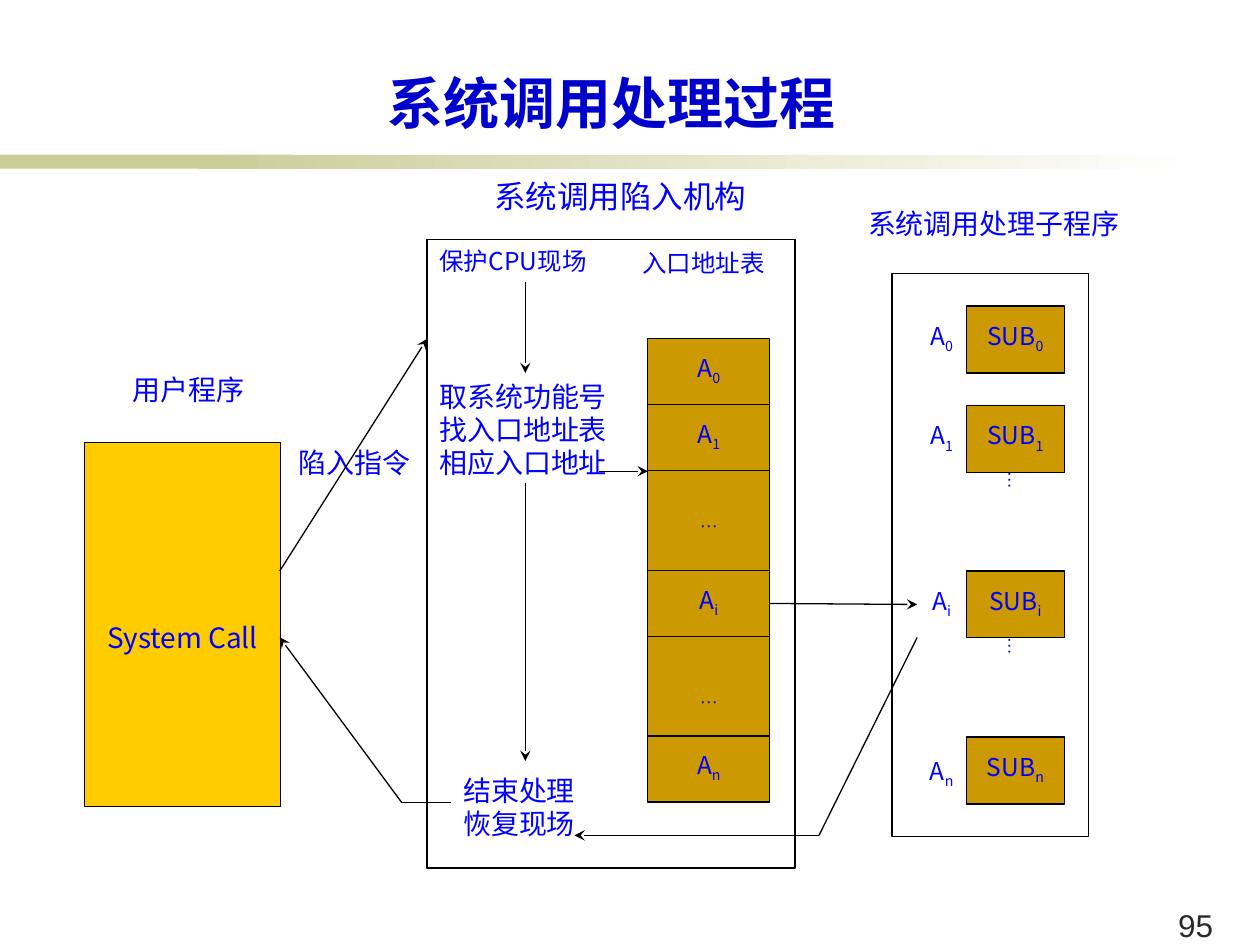
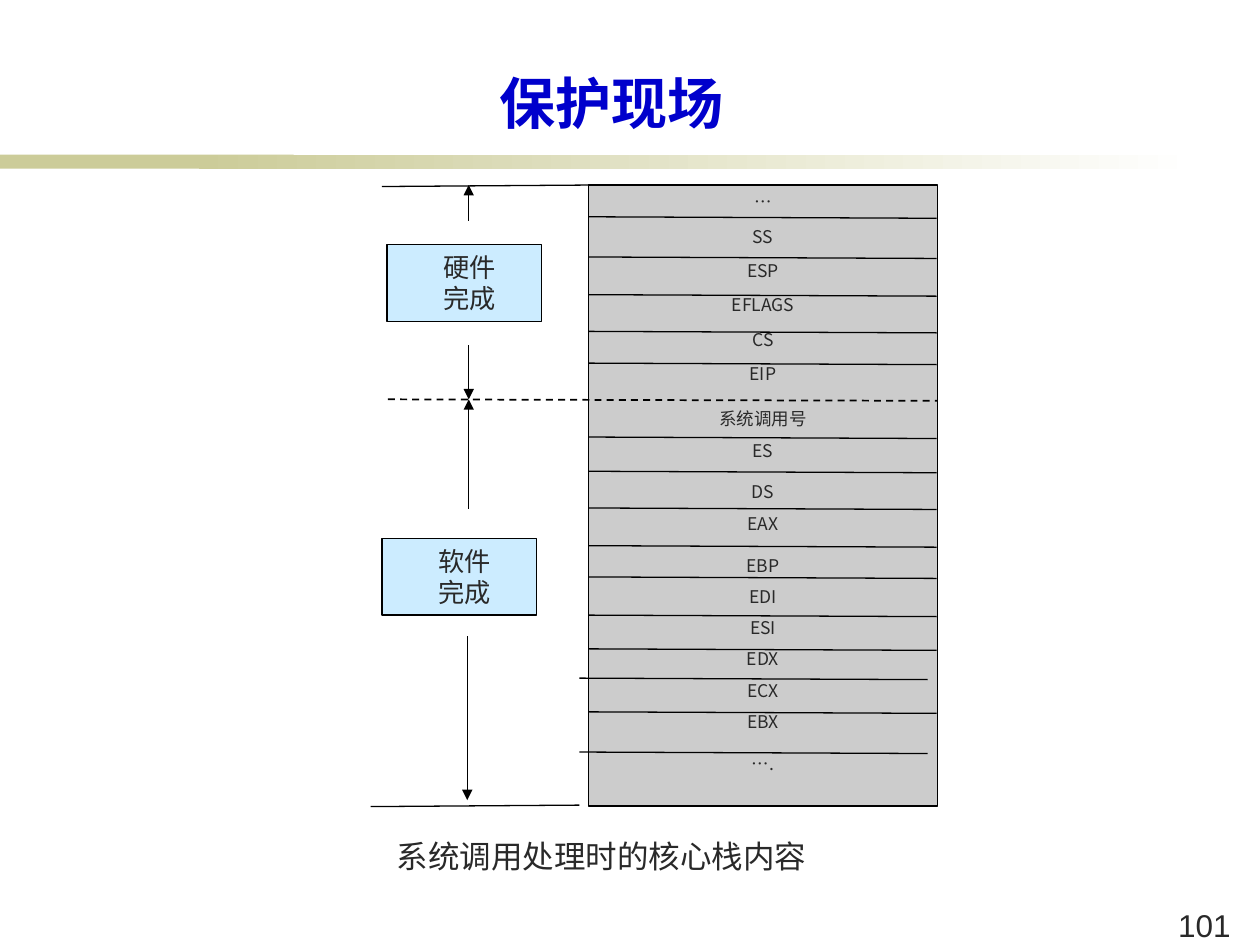
from dataclasses import dataclass, replace
from typing import NamedTuple

from lxml import etree
from pptx import Presentation
from pptx.dml.color import RGBColor
from pptx.enum.dml import MSO_LINE
from pptx.enum.shapes import MSO_CONNECTOR, MSO_SHAPE
from pptx.enum.text import MSO_ANCHOR, PP_ALIGN
from pptx.oxml.ns import qn
from pptx.util import Cm, Pt

STRAIGHT = MSO_CONNECTOR.STRAIGHT
RECT = MSO_SHAPE.RECTANGLE
DASH = MSO_LINE.DASH
LEFT, CENTER = PP_ALIGN.LEFT, PP_ALIGN.CENTER
TOP, MIDDLE = MSO_ANCHOR.TOP, MSO_ANCHOR.MIDDLE
SITE_TOP, SITE_LEFT, SITE_RIGHT = 0, 1, 3

SANS, SERIF, ARIAL = "Noto Sans CJK JP", "Times New Roman", "Arial"
BLACK, WHITE, INK = "000000", "FFFFFF", "292929"
BLUE, TITLE_BLUE = "0000FF", "0000CC"
KHAKI, YELLOW, OCHRE = "CCCC99", "FFCC00", "CC9900"
GREY, SKY = "CCCCCC", "CCECFF"


class Box(NamedTuple):
    x: float
    y: float
    w: float
    h: float


class Inset(NamedTuple):
    left: float = 0.25
    top: float = 0.13
    right: float = 0.25
    bottom: float = 0.13


class Line(NamedTuple):
    x1: float
    y1: float
    x2: float
    y2: float
    head: str = ""


class Label(NamedTuple):
    text: str
    box: Box


class Row(NamedTuple):
    text: str
    before: float = 0
    after: float = 6


@dataclass(frozen=True)
class Style:
    size: float
    color: str = BLUE
    font: str = SANS
    align: PP_ALIGN = LEFT
    anchor: MSO_ANCHOR = TOP
    bold: bool = False
    inset: Inset = Inset()
    leading: float = 1.19


NO_INSET = Inset(0, 0, 0, 0)
TITLE = Style(32, TITLE_BLUE, align=CENTER, anchor=MIDDLE, bold=True, leading=1.45)
PAGE_NUMBER = Style(18, INK, ARIAL)
HEADING = Style(16, inset=NO_INSET)
STEP = Style(16)
NOTE = Style(14)
CELL = Style(14, align=CENTER, anchor=MIDDLE, inset=NO_INSET)
DOTS = replace(CELL, size=10, font=SERIF)
LOW_DOTS = replace(DOTS, inset=Inset(0, 0.43, 0, 0))
USER_BOX = Style(16, align=CENTER, anchor=MIDDLE, inset=Inset(top=0.64))
STACK_TEXT = Style(10, INK, align=CENTER)
WORKER = Style(15, INK, anchor=MIDDLE, inset=Inset(left=1.14))
CAPTION = Style(18, INK, inset=Inset(left=1.04))


def rgb(color: str) -> RGBColor:
    return RGBColor.from_string(color)


def add_run(p, text: str, style: Style, subscript: bool = False) -> None:
    r = p.add_run()
    r.text = text
    formats = {"size": Pt(style.size), "name": style.font, "bold": style.bold}
    for name, value in formats.items():
        setattr(r.font, name, value)
    r.font.color.rgb = rgb(style.color)
    r_pr = r.font._element
    etree.SubElement(r_pr, qn("a:ea")).set("typeface", SANS)
    if subscript:
        r_pr.set("baseline", "-25000")


def write(shape, rows: list[Row], style: Style) -> None:
    """Fill a shape with one paragraph per row; "A_0" sets 0 as a subscript."""
    tf = shape.text_frame
    margins = {f"margin_{side}": Cm(v) for side, v in style.inset._asdict().items()}
    frame = {"word_wrap": True, "vertical_anchor": style.anchor, **margins}
    for name, value in frame.items():
        setattr(tf, name, value)
    for i, row in enumerate(rows):
        p = tf.add_paragraph() if i else tf.paragraphs[0]
        formats = {
            "alignment": style.align,
            "space_before": Pt(row.before),
            "space_after": Pt(row.after),
            "line_spacing": Pt(style.size * style.leading),
        }
        for name, value in formats.items():
            setattr(p, name, value)
        base, _, index = row.text.partition("_")
        add_run(p, base, style)
        if index:
            add_run(p, index, style, subscript=True)


def plain_rows(text: str) -> list[Row]:
    return [Row(line, after=0) for line in text.split("\n")]


def add_text(s, label: Label, style: Style):
    sp = s.shapes.add_textbox(*map(Cm, label.box))
    write(sp, plain_rows(label.text), style)
    return sp


def add_rect(s, box: Box, fill: str = "", line: str = BLACK):
    sp = s.shapes.add_shape(RECT, *map(Cm, box))
    sp.shadow.inherit = False
    if fill:
        sp.fill.solid()
        sp.fill.fore_color.rgb = rgb(fill)
    else:
        sp.fill.background()
    if line:
        sp.line.color.rgb = rgb(line)
        sp.line.width = Pt(0.75)
    else:
        sp.line.fill.background()
    return sp


def add_cell(s, label: Label, fill: str, style: Style):
    sp = add_rect(s, label.box, fill)
    write(sp, plain_rows(label.text), style)
    return sp


def add_line(s, line: Line, width: float = 0.75):
    cx = s.shapes.add_connector(STRAIGHT, *map(Cm, line[:4]))
    cx.line.color.rgb = rgb(BLACK)
    cx.line.width = Pt(width)
    if line.head:
        etree.SubElement(cx.line._get_or_add_ln(), qn("a:tailEnd")).set("type", line.head)
    etree.SubElement(cx._element.spPr, qn("a:effectLst"))
    return cx


def add_base_slide(prs, title: str, number: int, title_font: str = SANS):
    """Add a blank slide with the shared band, title and page number."""
    s = prs.slides.add_slide(prs.slide_layouts[6])
    add_rect(s, Box(0, 3.12, 5.92, 0.28), KHAKI, line="")
    fade = add_rect(s, Box(4.01, 3.12, 20.12, 0.28), KHAKI, line="")
    fade.fill.gradient()
    fade.fill.gradient_angle = 0
    for stop, color in zip(fade.fill.gradient_stops, (KHAKI, WHITE)):
        stop.color.rgb = rgb(color)
    add_text(s, Label(title, Box(2.11, 1.12, 20.45, 1.6)), replace(TITLE, font=title_font))
    add_text(s, Label(str(number), Box(23.5, 18.14, 1.6, 0.84)), PAGE_NUMBER)
    return s


def add_address_table(s):
    """Stack the entry table downwards and return its A_i cell."""
    rows = [("A_0", 1.33, CELL), ("A_1", 1.33, CELL), ("…", 2.01, DOTS),
            ("A_i", 1.33, CELL), ("…", 2.01, LOW_DOTS), ("A_n", 1.33, CELL)]
    y, cells = 6.83, {}
    for text, height, style in rows:
        cells[text] = add_cell(s, Label(text, Box(13.06, y, 2.46, height)), OCHRE, style)
        y += height
    return cells["A_i"]


def add_subroutines(s):
    """Draw the handler routines and return the A_i label."""
    x, label_w, h = 18.49, 0.99, 1.35
    labels = {}
    for index, y, drop in [("0", 6.17, 0), ("1", 8.18, 0), ("i", 11.51, 0), ("n", 14.86, 0.08)]:
        labels[index] = add_text(s, Label(f"A_{index}", Box(x, y + drop, label_w, h)), CELL)
        add_cell(s, Label(f"SUB_{index}", Box(x + label_w, y, 1.98, h)), OCHRE, CELL)
    for y in (9.5, 12.85):
        dots = add_text(s, Label("…", Box(x + label_w, y, 1.98, 2.01)), DOTS)
        dots.text_frame._txBody.bodyPr.set("vert", "eaVert")
    add_rect(s, Box(17.98, 5.51, 3.96, 11.35))
    return labels["i"]


def build_call_process(prs) -> None:
    s = add_base_slide(prs, "系统调用处理过程", 95, SERIF)
    add_cell(s, Label("System Call", Box(1.7, 8.92, 3.96, 7.34)), YELLOW, USER_BOX)
    sub_label = add_subroutines(s)
    entry_cell = add_address_table(s)
    add_rect(s, Box(8.61, 4.83, 7.42, 12.67))

    for label in [
        Label("用户程序", Box(2.67, 7.52, 2.46, 1.32)),
        Label("陷入指令", Box(6.02, 8.99, 2.46, 1.32)),
        Label("系统调用处理子程序", Box(17.5, 4.17, 5.36, 1.35)),
    ]:
        add_text(s, label, HEADING)
    add_text(s, Label("系统调用陷入机构", Box(9.96, 3.58, 5.28, 0.76)), replace(HEADING, size=18))
    add_text(s, Label("保护CPU现场", Box(8.61, 4.83, 3.96, 1.07)), NOTE)
    add_text(s, Label("入口地址表", Box(12.7, 4.88, 3.18, 1.24)), NOTE)
    lookup = Label("取系统功能号\n找入口地址表\n相应入口地址", Box(8.61, 7.52, 3.96, 3.02))
    lookup_box = add_text(s, lookup, STEP)
    add_text(s, Label("结束处理\n恢复现场", Box(9.09, 15.47, 2.97, 2.26)), STEP)

    to_lookup = add_line(s, Line(10.59, 5.69, 10.59, 7.52, "stealth"))
    to_lookup.end_connect(lookup_box, SITE_TOP)
    to_sub = add_line(s, Line(15.52, 12.17, 18.49, 12.17, "stealth"))
    to_sub.begin_connect(entry_cell, SITE_RIGHT)
    to_sub.end_connect(sub_label, SITE_LEFT)
    for line in [
        Line(10.59, 9.73, 10.59, 15.34, "stealth"),
        Line(12.07, 9.5, 13.06, 9.5, "stealth"),
        Line(5.64, 11.51, 8.61, 6.83, "stealth"),
        Line(9.09, 16.18, 8.1, 16.18),
        Line(8.1, 16.18, 5.64, 12.85, "stealth"),
        Line(18.49, 12.85, 16.51, 16.84),
        Line(16.51, 16.84, 11.58, 16.84, "stealth"),
    ]:
        add_line(s, line)


def build_kernel_stack(prs) -> None:
    s = add_base_slide(prs, "保护现场", 101)
    add_text(s, Label("系统调用处理时的核心栈内容", Box(6.96, 16.74, 12.8, 0.71)), CAPTION)

    stack = add_rect(s, Box(11.86, 3.73, 7.04, 12.52), GREY)
    by_hardware = ["…", "SS", "ESP", "EFLAGS", "CS", "EIP"]
    by_software = ["系统调用号", "ES", "DS", "EAX", "EBP", "EDI",
                   "ESI", "EDX", "ECX", "EBX", "…."]
    spaced = {"系统调用号", "DS", "EBP", "…."}
    rows = [Row(text, after=7.8) for text in by_hardware]
    rows += [Row(text, before=6 if text in spaced else 0) for text in by_software]
    write(stack, rows, STACK_TEXT)

    slope, shifted = 0.03, {13.67, 15.16}
    for y in (4.37, 5.18, 5.94, 6.68, 7.32, 8.81, 9.5, 10.24, 11, 11.63,
              12.4, 13.08, 13.67, 14.35, 15.16):
        x = 11.68 if y in shifted else 11.86
        add_line(s, Line(x, y, x + 7.02, y + slope))
    border = add_line(s, Line(7.82, 8.05, 18.9, 8.08), width=1)
    border.line.dash_style = DASH

    for text, x, y in [("硬件\n完成", 7.8, 4.93), ("软件\n完成", 7.7, 10.85)]:
        add_cell(s, Label(text, Box(x, y, 3.12, 1.55)), SKY, WORKER)
    for line in [
        Line(7.7, 3.76, 11.91, 3.73),
        Line(7.47, 16.26, 11.68, 16.23),
        Line(9.45, 4.45, 9.45, 3.73, "triangle"),
        Line(9.45, 6.96, 9.45, 8.05, "triangle"),
        Line(9.45, 10.26, 9.45, 8.05, "triangle"),
        Line(9.42, 12.83, 9.42, 16.13, "triangle"),
    ]:
        add_line(s, line)


def main() -> None:
    prs = Presentation()
    prs.slide_width, prs.slide_height = Cm(25.4), Cm(19.05)
    build_call_process(prs)
    build_kernel_stack(prs)
    prs.save("out.pptx")


if __name__ == "__main__":
    main()
